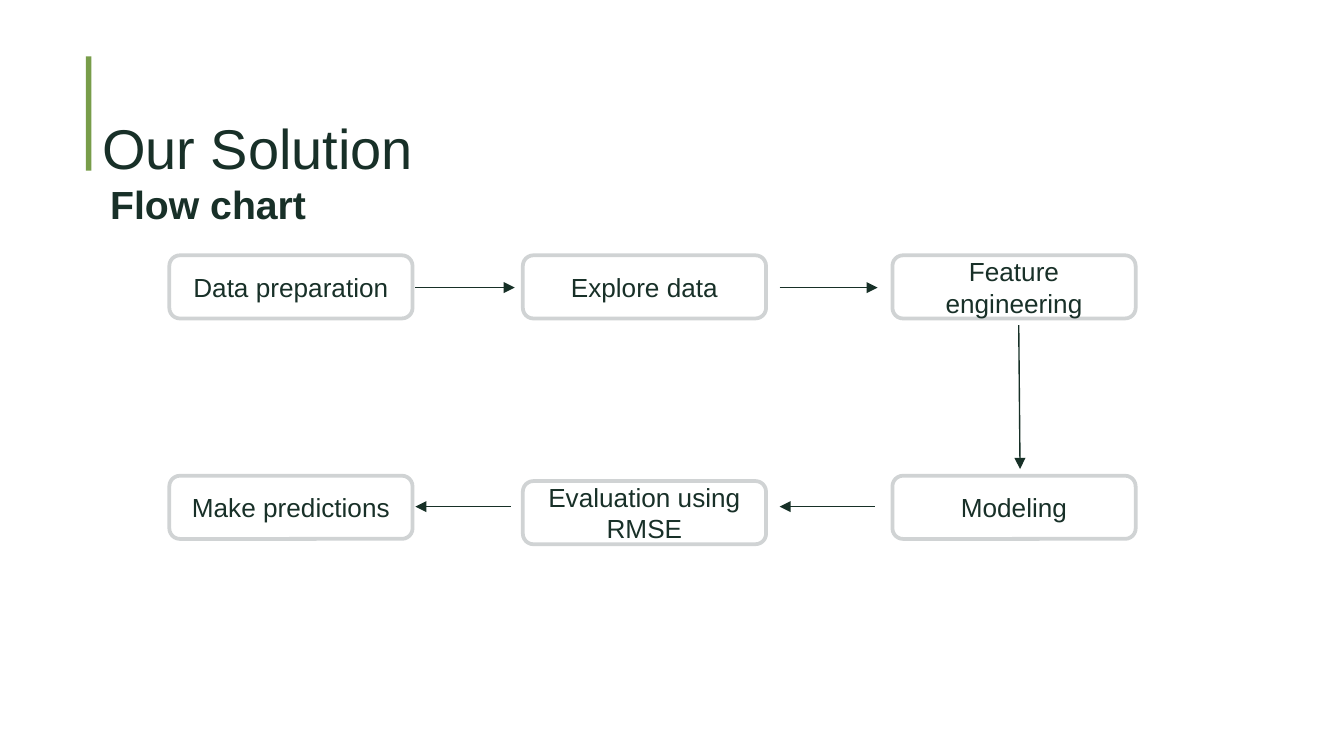
"""Build the "Our Solution" flow chart slide."""
from dataclasses import dataclass

from lxml import etree
from pptx import Presentation
from pptx.dml.color import RGBColor
from pptx.enum.shapes import MSO_CONNECTOR, MSO_SHAPE
from pptx.enum.text import MSO_ANCHOR, PP_ALIGN
from pptx.oxml.ns import qn
from pptx.util import Inches, Pt

RECT = MSO_SHAPE.RECTANGLE
ROUNDED = MSO_SHAPE.ROUNDED_RECTANGLE
STRAIGHT = MSO_CONNECTOR.STRAIGHT
TOP, MIDDLE = MSO_ANCHOR.TOP, MSO_ANCHOR.MIDDLE
CENTER = PP_ALIGN.CENTER


@dataclass(frozen=True)
class Theme:
    """Colours, font and type sizes of the slide."""
    text: RGBColor = RGBColor.from_string("183028")
    arrow: RGBColor = RGBColor.from_string("173027")
    border: RGBColor = RGBColor.from_string("D0D3D4")
    accent: RGBColor = RGBColor.from_string("789D4A")
    white: RGBColor = RGBColor.from_string("FFFFFF")
    font: str = "Arial"
    title: Pt = Pt(30)
    heading: Pt = Pt(21)
    step: Pt = Pt(14)
    border_width: Pt = Pt(2)
    arrow_width: Pt = Pt(0.75)


THEME = Theme()
SLIDE_W = 10
SLIDE_H = SLIDE_W * 9 / 16
BOX_W, BOX_H = 1.81, 0.47
COLUMNS = (1.26, 3.89, 6.64)
TOP_ROW, BOTTOM_ROW = 1.9, 3.54
STEPS = (
    ("Data preparation", COLUMNS[0], TOP_ROW),
    ("Explore data", COLUMNS[1], TOP_ROW),
    ("Feature engineering", COLUMNS[2], TOP_ROW),
    ("Modeling", COLUMNS[2], BOTTOM_ROW),
    ("Make predictions", COLUMNS[0], BOTTOM_ROW),
    ("Evaluation using RMSE", COLUMNS[1], 3.58),
)
TOP_MID, BOTTOM_MID = 2.14, 3.77
ARROWS = (
    (3.09, TOP_MID, 3.83, TOP_MID),
    (5.8, TOP_MID, 6.53, TOP_MID),
    (6.51, BOTTOM_MID, 5.8, BOTTOM_MID),
    (7.58, 2.42, 7.59, 3.49),
    (3.8, BOTTOM_MID, 3.09, BOTTOM_MID),
)


def set_attrs(obj, values):
    """Set each named attribute of an object."""
    for name, value in values.items():
        setattr(obj, name, value)


def write_text(tf, text, size, bold=False, **paragraph):
    """Write one formatted paragraph into a text frame."""
    p = tf.paragraphs[0]
    set_attrs(p, paragraph)
    r = p.add_run()
    r.text = text
    set_attrs(r.font, {"name": THEME.font, "size": size, "bold": bold})
    r.font.color.rgb = THEME.text


def add_text(s, text, box, size, anchor, **fmt):
    """Add a wrapping text box."""
    tf = s.shapes.add_textbox(*map(Inches, box)).text_frame
    set_attrs(tf, {
        "word_wrap": True, "vertical_anchor": anchor,
        "margin_left": Inches(0.07), "margin_right": Inches(0.07),
        "margin_top": Inches(0.04), "margin_bottom": Inches(0.04),
    })
    write_text(tf, text, size, space_before=Pt(8), **fmt)


def add_box(s, kind, box, fill):
    """Add a filled shape without shadow or outline."""
    sp = s.shapes.add_shape(kind, *map(Inches, box))
    sp.shadow.inherit = False
    sp.fill.solid()
    sp.fill.fore_color.rgb = fill
    sp.line.fill.background()
    return sp


def add_step(s, text, left, top):
    """Add one rounded step of the flow chart."""
    sp = add_box(s, ROUNDED, (left, top, BOX_W, BOX_H), THEME.white)
    sp.line.color.rgb = THEME.border
    sp.line.width = THEME.border_width
    sp.text_frame.vertical_anchor = MIDDLE
    write_text(sp.text_frame, text, THEME.step, alignment=CENTER)


def add_arrow(s, ends):
    """Add a straight line with a triangle at its end."""
    cxn = s.shapes.add_connector(STRAIGHT, *map(Inches, ends))
    cxn.line.color.rgb = THEME.arrow
    cxn.line.width = THEME.arrow_width
    etree.SubElement(cxn.get_or_add_ln(), qn("a:tailEnd"), type="triangle")
    etree.SubElement(cxn._element.spPr, qn("a:effectLst"))


def main():
    """Build and save the slide."""
    prs = Presentation()
    set_attrs(prs, {"slide_width": Inches(SLIDE_W), "slide_height": Inches(SLIDE_H)})
    s = prs.slides.add_slide(prs.slide_layouts[6])
    add_box(s, RECT, (0.64, 0.42, 0.04, 0.85), THEME.accent)
    add_text(s, "Our Solution", (0.69, 0.3, 8.62, 1.09), THEME.title, MIDDLE,
             line_spacing=2.0)
    add_text(s, "Flow chart ", (0.75, 1.34, 8.63, 3.58), THEME.heading, TOP,
             line_spacing=0.9, bold=True)
    for step in STEPS:
        add_step(s, *step)
    for ends in ARROWS:
        add_arrow(s, ends)
    prs.save("out.pptx")


if __name__ == "__main__":
    main()
